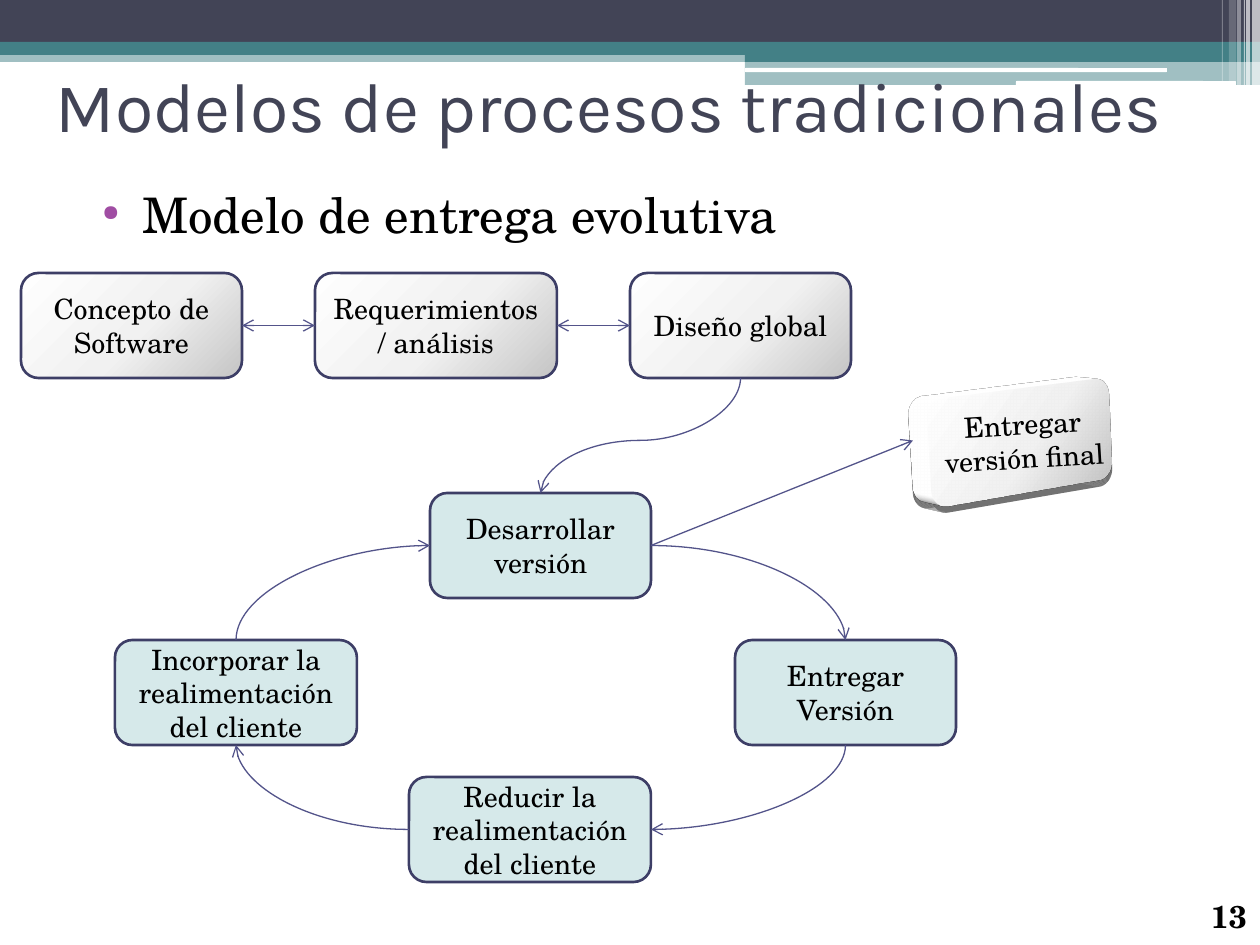
from dataclasses import dataclass
from pptx import Presentation
from pptx.dml.color import RGBColor
from pptx.enum.shapes import MSO_CONNECTOR, MSO_SHAPE
from pptx.enum.text import MSO_ANCHOR, PP_ALIGN
from pptx.oxml import parse_xml
from pptx.oxml.ns import nsdecls, qn
from pptx.util import Pt

RECT, ROUND = MSO_SHAPE.RECTANGLE, MSO_SHAPE.ROUNDED_RECTANGLE
ELBOW, CURVE, STRAIGHT = MSO_CONNECTOR.ELBOW, MSO_CONNECTOR.CURVE, MSO_CONNECTOR.STRAIGHT
TOP, MIDDLE = MSO_ANCHOR.TOP, MSO_ANCHOR.MIDDLE
CENTER, LEFT = PP_ALIGN.CENTER, PP_ALIGN.LEFT
PIXEL = 914400 / 126


@dataclass(frozen=True)
class Theme:
    heading_font: str = "Karla"
    body_font: str = "TeX Gyre Schola"
    navy: str = "424456"
    teal: str = "438086"
    white: str = "FFFFFF"
    ink: str = "000000"
    bullet: str = "A04DA3"
    border: str = "3D3E66"
    arrow: str = "53548A"
    cycle: str = "D6E9EA"
    silver: tuple = ((0, "FEFEFE"), (55, "F1F1F1"), (100, "C5C5C5"))
    title_size: int = 40
    topic_size: int = 28
    number_size: int = 18
    node_size: int = 16


THEME = Theme()


def px(value):
    return round(value * PIXEL)


def element(xml):
    tag = xml.split(">", 1)[0].rstrip("/")
    return parse_xml(xml.replace(tag, f"{tag} {nsdecls('a')}", 1))


def add_run(paragraph, text, size, color, font, bold=False):
    run = paragraph.add_run()
    run.text = text
    run.font.size = Pt(size)
    run.font.name = font
    run.font.bold = bold
    run.font.color.rgb = RGBColor.from_string(color)


def add_block(slide, box, kind, color, opacity=100):
    block = slide.shapes.add_shape(kind, *map(px, box))
    block.shadow.inherit = False
    block.line.fill.background()
    block.fill.solid()
    block.fill.fore_color.rgb = RGBColor.from_string(color)
    if opacity < 100:
        tint = block.fill._xPr.find(qn("a:solidFill"))[0]
        tint.append(element(f'<a:alpha val="{opacity * 1000}"/>'))


def add_header(slide, box):
    left, top, width, height = box
    panel = 745
    for x, y, w, h, kind, color, opacity in (
        (0, 50, width, 12, RECT, THEME.teal, 50),
        (0, 0, width, 42, RECT, THEME.navy, 100),
        (0, 42, width, 13, RECT, THEME.teal, 100),
        (panel, 49, width - panel, 13, RECT, THEME.teal, 100),
        (panel, 61, width - panel, 24, RECT, THEME.teal, 50),
        (panel, 68, 422, 4, ROUND, THEME.white, 100),
        (1016, 81, 220, 5, ROUND, THEME.white, 100),
    ):
        add_block(slide, (left + x, top + y, w, h), kind, color, opacity)
    for x, w, h, opacity in (
        (1252, 8, height, 65), (1246, 4, height, 65), (1244, 1, height, 60),
        (1237, 4, height, 40), (1229, 7, height - 4, 20), (1222, 1, height - 4, 30),
    ):
        add_block(slide, (left + x, top, w, h), RECT, THEME.white, opacity)


def add_text(slide, box, text, size, color, font, anchor=TOP, bold=False):
    area = slide.shapes.add_textbox(*map(px, box))
    frame = area.text_frame
    frame.word_wrap = True
    frame.vertical_anchor = anchor
    frame.margin_left = frame.margin_right = px(11)
    frame.margin_top = frame.margin_bottom = px(6)
    paragraph = frame.paragraphs[0]
    paragraph.alignment = LEFT
    add_run(paragraph, text, size, color, font, bold)
    return paragraph


def add_topic(slide, box, text):
    topic = add_text(slide, box, text, THEME.topic_size, THEME.ink, THEME.body_font)
    topic.space_before = Pt(3)
    properties = topic._p.get_or_add_pPr()
    properties.set("marL", str(px(54)))
    properties.set("indent", str(px(-40)))
    for xml in (
        f'<a:buClr><a:srgbClr val="{THEME.bullet}"/></a:buClr>',
        '<a:buSzPct val="45000"/>',
        '<a:buChar char="●"/>',
    ):
        properties.append(element(xml))


def fill_silver(step):
    step.fill.gradient()
    plain = step.fill._xPr.find(qn("a:gradFill"))
    stops = "".join(
        f'<a:gs pos="{at * 1000}"><a:srgbClr val="{color}"/></a:gs>' for at, color in THEME.silver
    )
    plain.getparent().replace(plain, element(
        f'<a:gradFill rotWithShape="1"><a:gsLst>{stops}</a:gsLst><a:path path="circle">'
        '<a:fillToRect l="-40000" t="-90000" r="140000" b="190000"/></a:path></a:gradFill>'
    ))


def tilt(step):
    properties = step._element.spPr
    properties.remove(properties.find(qn("a:effectLst")))
    for xml in (
        '<a:effectLst><a:outerShdw blurRad="225425" dist="50800" dir="5220000" algn="ctr">'
        f'<a:srgbClr val="{THEME.ink}"><a:alpha val="33000"/></a:srgbClr></a:outerShdw></a:effectLst>',
        '<a:scene3d><a:camera prst="perspectiveFront" fov="3300000">'
        '<a:rot lat="486000" lon="19530000" rev="174000"/></a:camera>'
        '<a:lightRig rig="harsh" dir="t"><a:rot lat="0" lon="0" rev="3000000"/></a:lightRig></a:scene3d>',
        '<a:sp3d extrusionH="254000" contourW="19050"><a:bevelT w="82550" h="44450" prst="angle"/>'
        '<a:bevelB w="82550" h="44450" prst="angle"/>'
        f'<a:contourClr><a:srgbClr val="{THEME.white}"/></a:contourClr></a:sp3d>',
    ):
        properties.append(element(xml))


def add_step(slide, box, text, style):
    step = slide.shapes.add_shape(ROUND, *map(px, box))
    step.shadow.inherit = False
    if style == "cycle":
        step.fill.solid()
        step.fill.fore_color.rgb = RGBColor.from_string(THEME.cycle)
    else:
        fill_silver(step)
    if style == "final":
        step.line.fill.background()
        tilt(step)
    else:
        step.line.color.rgb = RGBColor.from_string(THEME.border)
        step.line.width = Pt(1.5)
    frame = step.text_frame
    frame.word_wrap = True
    frame.vertical_anchor = MIDDLE
    frame.paragraphs[0].alignment = CENTER
    add_run(frame.paragraphs[0], text, THEME.node_size, THEME.ink, THEME.body_font)


def port(box, side):
    left, top, width, height = box
    across, down = {"left": (0, 0.5), "right": (1, 0.5), "top": (0.5, 0), "bottom": (0.5, 1)}[side]
    return left + width * across, top + height * down


def add_arrow(slide, start, end, kind, vertical=False, bend=None, both=False):
    (x1, y1), (x2, y2) = start, end
    if vertical:
        mid_x, mid_y, dx, dy = (x1 + x2) / 2, (y1 + y2) / 2, (x2 - x1) / 2, (y2 - y1) / 2
        x1, y1, x2, y2 = mid_x - dy, mid_y + dx, mid_x + dy, mid_y - dx
    arrow = slide.shapes.add_connector(kind, px(x1), px(y1), px(x2), px(y2))
    arrow.line.color.rgb = RGBColor.from_string(THEME.arrow)
    arrow.line.width = Pt(0.75)
    properties = arrow._element.spPr
    if vertical:
        properties.find(qn("a:xfrm")).set("rot", "5400000")
    geometry = properties.find(qn("a:prstGeom"))
    if bend:
        geometry.find(qn("a:avLst")).append(element(f'<a:gd name="adj1" fmla="val {bend}"/>'))
    elif kind == CURVE:
        geometry.set("prst", "curvedConnector2")
    stroke = properties.find(qn("a:ln"))
    for tip in ("headEnd", "tailEnd") if both else ("tailEnd",):
        stroke.append(element(f'<a:{tip} type="arrow"/>'))
    properties.append(element("<a:effectLst/>"))


def add_process(slide, box):
    left, top = box[:2]
    narrow, wide, tall = 221, 242, 105
    steps = {
        "concept": (0, 0, narrow, "Concepto de Software", "phase"),
        "requirements": (294, 0, wide, "Requerimientos / análisis", "phase"),
        "design": (609, 0, narrow, "Diseño global", "phase"),
        "develop": (409, 220, narrow, "Desarrollar versión", "cycle"),
        "deliver": (714, 367, narrow, "Entregar Versión", "cycle"),
        "reduce": (388, 504, wide, "Reducir la realimentación del cliente", "cycle"),
        "incorporate": (94, 367, wide, "Incorporar la realimentación del cliente", "cycle"),
        "final": (892, 115, narrow, "Entregar versión final", "final"),
    }
    boxes = {}
    for key, (x, y, width, text, style) in steps.items():
        boxes[key] = (left + x, top + y, width, tall)
        add_step(slide, boxes[key], text, style)
    for source, out, target, into, kind, options in (
        ("concept", "right", "requirements", "left", ELBOW, {"both": True}),
        ("requirements", "right", "design", "left", ELBOW, {"both": True}),
        ("design", "bottom", "develop", "top", CURVE, {"vertical": True, "bend": 54300}),
        ("develop", "right", "deliver", "top", CURVE, {}),
        ("deliver", "bottom", "reduce", "right", CURVE, {"vertical": True}),
        ("reduce", "left", "incorporate", "bottom", CURVE, {}),
        ("incorporate", "top", "develop", "left", CURVE, {"vertical": True}),
        ("develop", "right", "final", "left", STRAIGHT, {}),
    ):
        add_arrow(slide, port(boxes[source], out), port(boxes[target], into), kind, **options)


deck = Presentation()
deck.slide_width, deck.slide_height = px(1260), px(945)
slide = deck.slides.add_slide(deck.slide_layouts[6])
add_header(slide, (0, 0, 1260, 85))
add_text(slide, (45, 11, 1171, 186), "Modelos de procesos tradicionales",
         THEME.title_size, THEME.navy, THEME.heading_font, MIDDLE)
add_topic(slide, (77, 179, 1103, 711), "Modelo de entrega evolutiva")
add_text(slide, (1200, 891, 161, 54), "13", THEME.number_size, THEME.ink, THEME.body_font, bold=True)
add_process(slide, (21, 273, 1113, 609))
deck.save("out.pptx")
